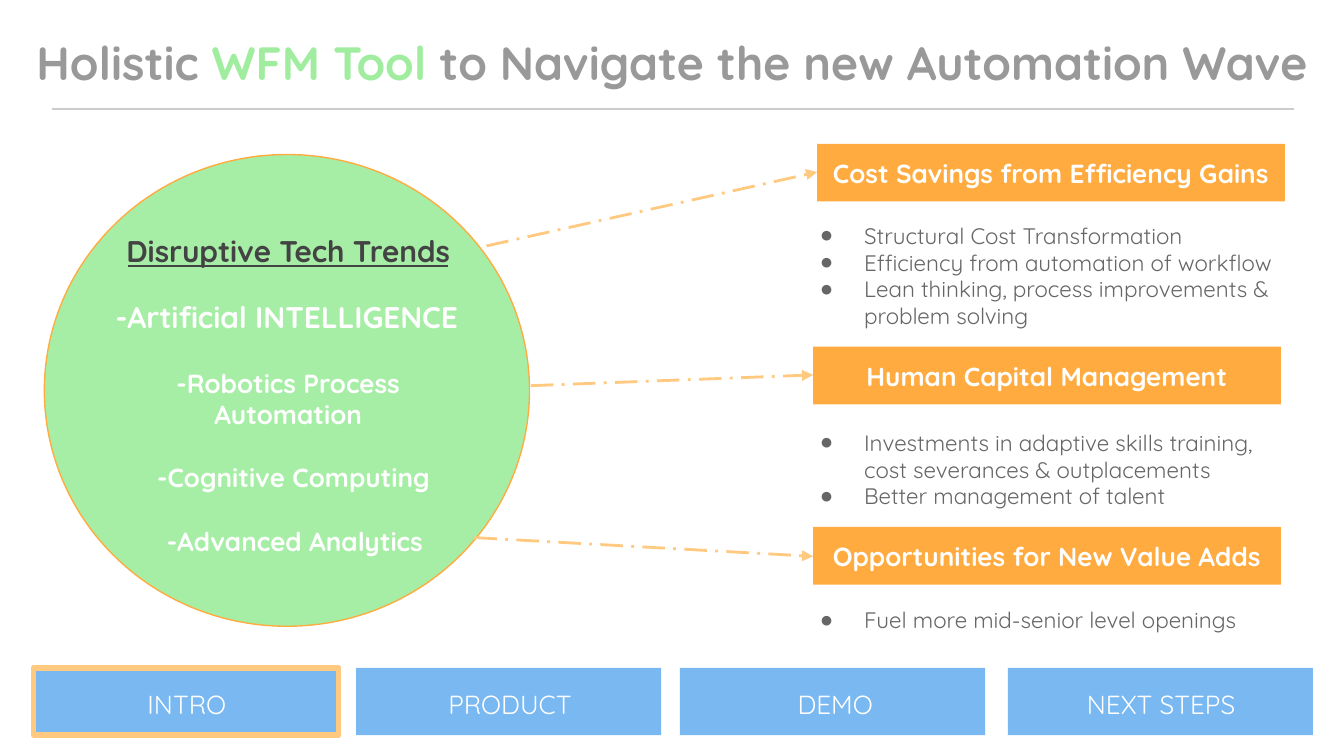
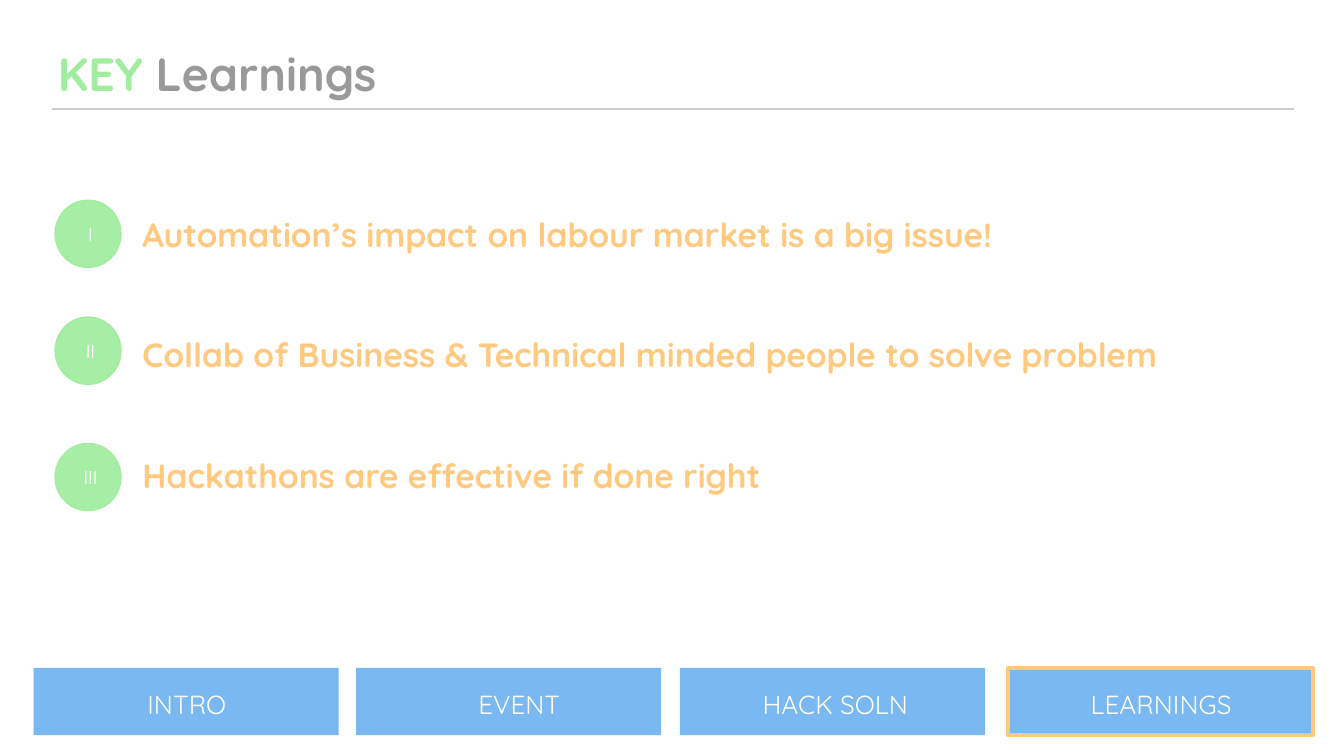
from lxml import etree
from pptx import Presentation
from pptx.dml.color import RGBColor
from pptx.enum.dml import MSO_LINE
from pptx.enum.shapes import MSO_CONNECTOR, MSO_SHAPE
from pptx.enum.text import MSO_ANCHOR, MSO_AUTO_SIZE, PP_ALIGN
from pptx.oxml.ns import qn
from pptx.util import Inches, Pt

RECTANGLE, ELLIPSE = MSO_SHAPE.RECTANGLE, MSO_SHAPE.OVAL
STRAIGHT = MSO_CONNECTOR.STRAIGHT
DASH_DOT = MSO_LINE.LONG_DASH_DOT
LEFT, CENTER = PP_ALIGN.LEFT, PP_ALIGN.CENTER
TOP, MIDDLE = MSO_ANCHOR.TOP, MSO_ANCHOR.MIDDLE
NO_FIT = MSO_AUTO_SIZE.NONE

FONT = "Quicksand"
COLORS = {
    "white": "FFFFFF",
    "blue": "79B8F1",
    "green": "A1EDA0",
    "orange": "FFAB40",
    "peach": "FFC97F",
    "dark": "434343",
    "text": "666666",
    "title": "999999",
    "rule": "CCCCCC",
}

SLIDE_WIDTH = Inches(10)
SLIDE_HEIGHT = SLIDE_WIDTH * 9 // 16
TITLE_LAYOUT_FOR_LISTS = 4
TITLE_LAYOUT_FOR_BODY = 1
TAB_LEFTS = (0.25, 2.65, 5.06, 7.5)
TAB_SIZE = (2.27, 0.5)
TAB_TOP = 4.97
LABEL_SPANS = ((0.48, 1.82), (3.18, 1.23), (5.16, 2.11), (7.85, 1.58))


def rgb(name):
    return RGBColor.from_string(COLORS[name])


def add_child(parent, tag, **attributes):
    return etree.SubElement(parent, qn(tag), attributes)


def set_bullet(para, color):
    properties = para._p.get_or_add_pPr()
    if color is None:
        properties.set("marL", "0")
        properties.set("indent", "0")
        add_child(properties, "a:buNone")
        return
    properties.set("marL", str(Inches(0.5)))
    properties.set("indent", str(Inches(-0.33)))
    bullet_color = add_child(properties, "a:buClr")
    add_child(bullet_color, "a:srgbClr", val=COLORS[color])
    add_child(properties, "a:buChar", char="●")


def write_text(shape, paragraphs, size=14, color="white", bold=False, align=CENTER,
               anchor=TOP, bullet=None, space_after=0):
    """Fill a shape; a paragraph is a string or a list of (text, colour) spans."""
    frame = shape.text_frame
    frame.word_wrap = True
    frame.auto_size = NO_FIT
    frame.vertical_anchor = anchor
    frame.margin_left = frame.margin_right = Inches(0.1)
    frame.margin_top = frame.margin_bottom = Inches(0.1)
    for index, content in enumerate(paragraphs):
        para = frame.add_paragraph() if index else frame.paragraphs[0]
        para.alignment = align
        para.line_spacing = 1.0
        para.space_before = Pt(0)
        para.space_after = Pt(space_after)
        set_bullet(para, bullet)
        spans = [(content, color)] if isinstance(content, str) else content
        for text, span_color in spans:
            span = para.add_run()
            span.text = text
            span.font.name = FONT
            span.font.size = Pt(size)
            span.font.bold = bold
            span.font.color.rgb = rgb(span_color)


def place(shape, left, top, width, height):
    shape.left, shape.top = Inches(left), Inches(top)
    shape.width, shape.height = Inches(width), Inches(height)


def add_label(page, at, text, **text_format):
    box = page.shapes.add_textbox(*map(Inches, at))
    write_text(box, [text], **text_format)


def add_box(page, kind, at, fill, line=None, line_width=0.75, alpha=None):
    box = page.shapes.add_shape(kind, *map(Inches, at))
    box.shadow.inherit = False
    box.fill.solid()
    box.fill.fore_color.rgb = rgb(fill)
    if alpha is not None:
        color = box._element.spPr.find(qn("a:solidFill"))[0]
        add_child(color, "a:alpha", val=str(alpha * 1000))
    if line:
        box.line.color.rgb = rgb(line)
        box.line.width = Pt(line_width)
    else:
        box.line.fill.background()
    return box


def add_line(page, start, end, color, width=0.75):
    line = page.shapes.add_connector(STRAIGHT, *map(Inches, start + end))
    line.line.color.rgb = rgb(color)
    line.line.width = Pt(width)
    add_child(line._element.spPr, "a:effectLst")
    return line


def add_dashed_arrow(page, start, end):
    arrow = add_line(page, start, end, "peach", 1.5)
    arrow.line.dash_style = DASH_DOT
    add_child(arrow.line._get_or_add_ln(), "a:tailEnd", type="triangle")


def add_title(page, at, spans, align):
    title = page.shapes.title
    place(title, *at)
    write_text(title, [spans], size=25, bold=True, align=align)
    add_line(page, (0.39, 0.81), (9.63, 0.81), "rule")


def add_tabs(page, labels, active, outline, spans=LABEL_SPANS):
    for index, left in enumerate(TAB_LEFTS):
        line = "peach" if index == active else None
        add_box(page, RECTANGLE, (left, TAB_TOP, *TAB_SIZE), "blue", line, outline)
    for label, (left, width) in zip(labels, spans):
        add_label(page, (left, 5.02, width, 0.39), label)


def remove_empty_placeholders(page):
    for holder in list(page.placeholders):
        if not holder.text_frame.text:
            holder._element.getparent().remove(holder._element)


def add_trends(page):
    add_box(page, ELLIPSE, (0.33, 1.15, 3.61, 3.51), "green", "orange", alpha=94)
    add_label(page, (0.67, 1.63, 2.95, 0.39), "Disruptive Tech Trends",
              size=16, color="dark", bold=True)
    add_line(page, (0.95, 1.98), (3.33, 1.98), "dark")
    trends = (
        ("-Artificial INTELLIGENCE", (-0.73, 2.12, 5.73, 0.5), 16),
        ("-Robotics Process Automation", (1.09, 2.63, 2.11, 0.65), 14),
        ("-Cognitive Computing", (1.05, 3.33, 2.27, 0.43), 14),
        ("-Advanced Analytics", (1.14, 3.81, 2.11, 0.5), 14),
    )
    for text, at, size in trends:
        add_label(page, at, text, size=size, bold=True)


def add_benefits(page):
    benefits = (
        ("Cost Savings from Efficiency Gains", (6.08, 1.07), (3.62, 1.83), (6.08, 1.28),
         (1.55, 0.56),
         ["Structural Cost Transformation",
          "Efficiency from automation of workflow",
          "Lean thinking, process improvements & problem solving"]),
        ("Human Capital Management", (6.05, 2.58), (3.95, 2.87), (6.05, 2.79),
         (3.09, 0.72),
         ["Investments in adaptive skills training, cost severances & outplacements",
          "Better management of talent"]),
        ("Opportunities for New Value Adds", (6.05, 3.92), (3.53, 4), (6.05, 4.14),
         (4.41, 0.56),
         ["Fuel more mid-senior level openings"]),
    )
    lists = list(page.placeholders)[1:]
    for holder, benefit in zip(lists, benefits):
        heading, corner, start, end, (top, height), points = benefit
        box = add_box(page, RECTANGLE, (*corner, 3.48, 0.43), "orange")
        write_text(box, [heading], bold=True)
        place(holder, 5.83, top, 3.76, height)
        write_text(holder, points, size=12, color="text", align=LEFT, bullet="text")
        add_dashed_arrow(page, start, end)


def build_intro(deck):
    page = deck.slides.add_slide(deck.slide_layouts[TITLE_LAYOUT_FOR_LISTS])
    add_tabs(page, ("INTRO", "PRODUCT", "DEMO", "NEXT STEPS"), active=0, outline=3)
    add_title(page, (0, 0.15, 10, 0.65),
              [("Holistic ", "title"), ("WFM Tool ", "green"),
               ("to Navigate the new Automation Wave", "title")], CENTER)
    add_trends(page)
    add_benefits(page)
    remove_empty_placeholders(page)


def build_learnings(deck):
    page = deck.slides.add_slide(deck.slide_layouts[TITLE_LAYOUT_FOR_BODY])
    spans = (LABEL_SPANS[0], (3.18, 1.37), *LABEL_SPANS[2:])
    add_tabs(page, ("INTRO", "EVENT", "HACK SOLN", "LEARNINGS"), active=3,
             outline=2.25, spans=spans)
    add_title(page, (0.33, 0.23, 9.6, 0.65),
              [("KEY", "green"), (" Learnings", "title")], LEFT)
    body = page.placeholders[1]
    place(body, 0.96, 1.49, 7.81, 2.63)
    write_text(body, ["Automation’s impact on labour market is a big issue!",
                      "Collab of Business & Technical minded people to solve problem",
                      "Hackathons are effective if done right"],
               size=18, color="peach", bold=True, align=LEFT, space_after=43)
    for numeral, top in ((" I", 1.49), (" II", 2.36), (" III", 3.3)):
        badge = add_box(page, ELLIPSE, (0.41, top, 0.49, 0.5), "green", "green", alpha=94)
        write_text(badge, [numeral], size=10, anchor=MIDDLE)


def main():
    deck = Presentation()
    deck.slide_width, deck.slide_height = SLIDE_WIDTH, SLIDE_HEIGHT
    build_intro(deck)
    build_learnings(deck)
    deck.save("out.pptx")


if __name__ == "__main__":
    main()
